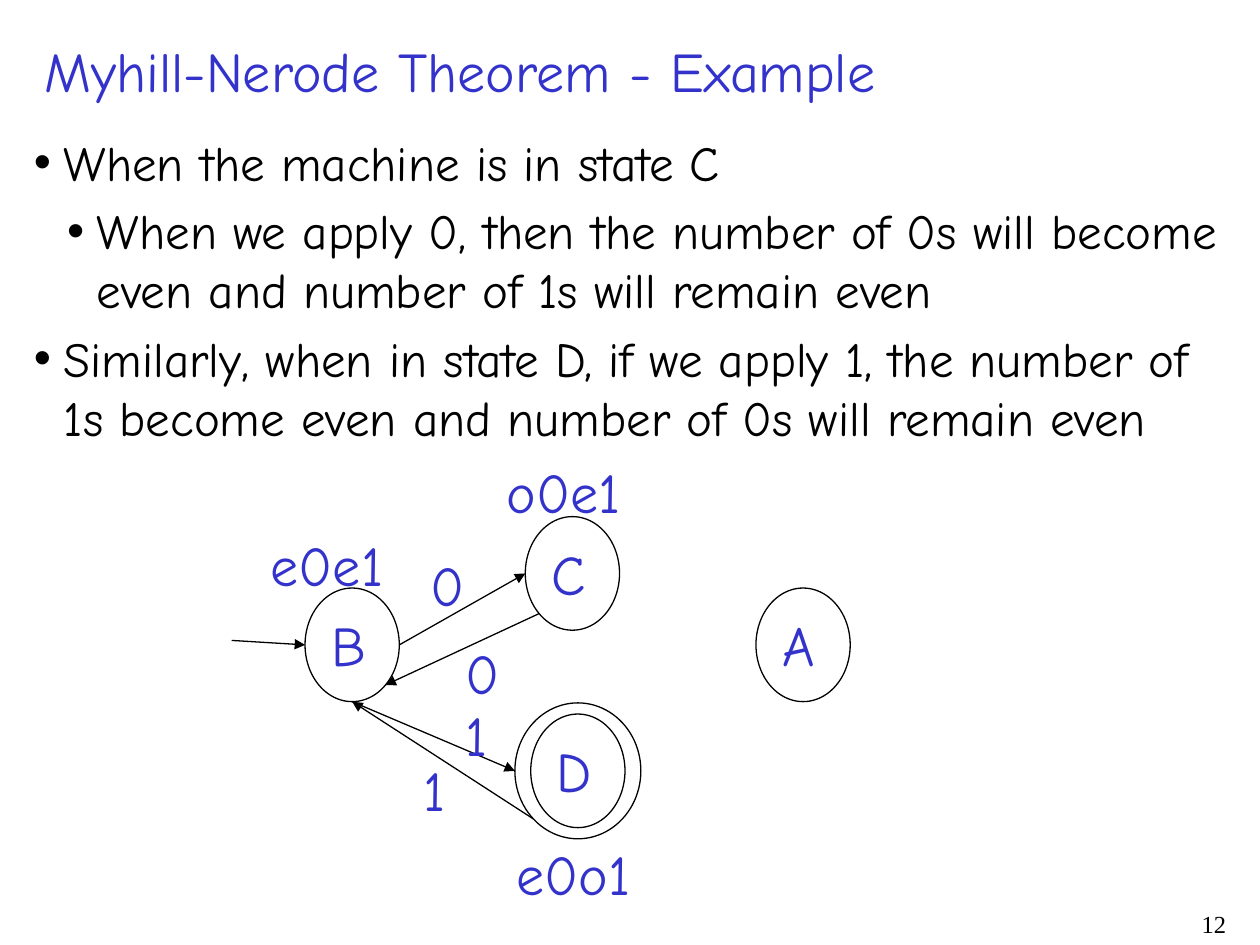
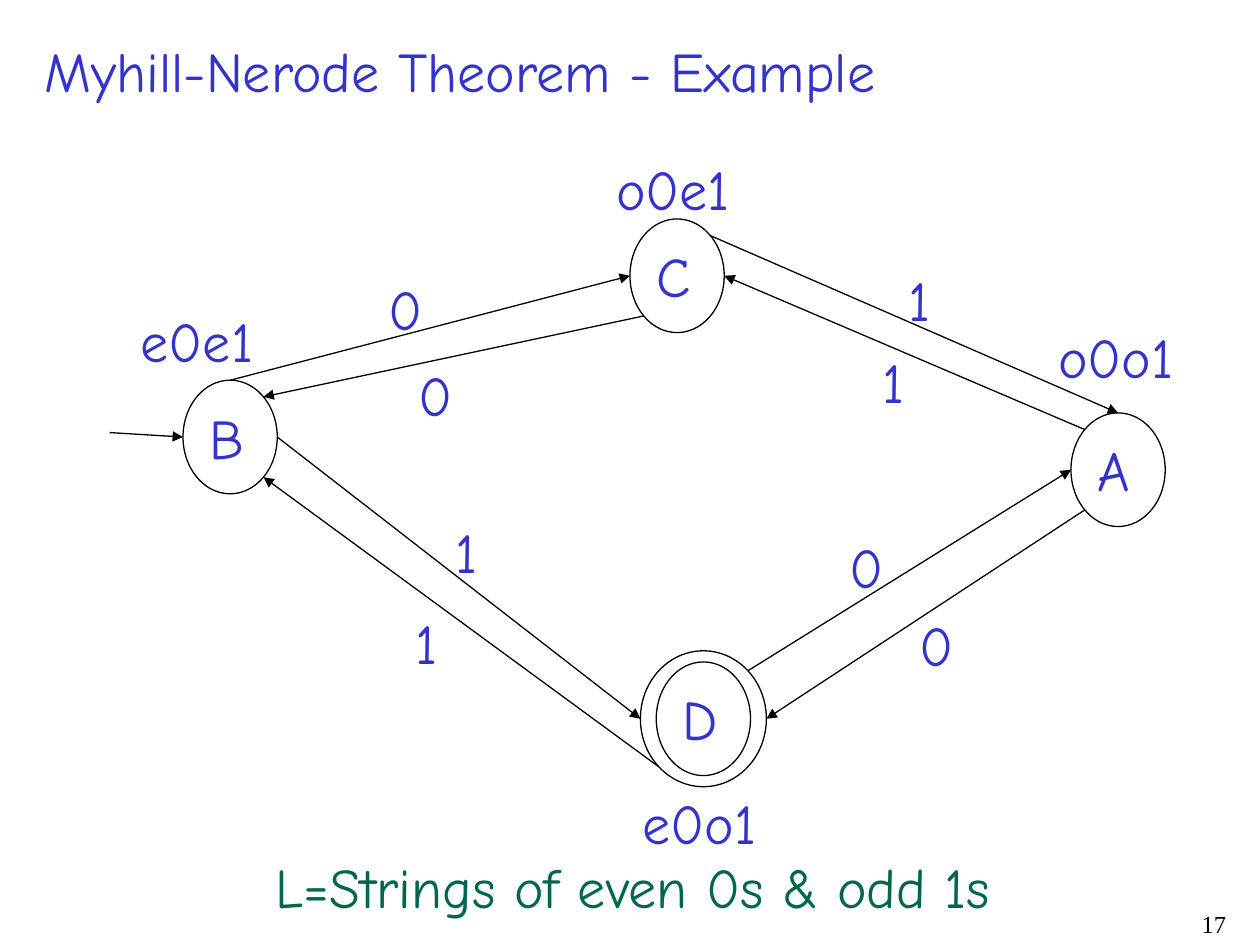
from math import cos, radians, sin

from lxml import etree
from pptx import Presentation
from pptx.dml.color import RGBColor
from pptx.enum.shapes import MSO_CONNECTOR, MSO_SHAPE
from pptx.enum.text import MSO_ANCHOR, MSO_AUTO_SIZE, PP_ALIGN
from pptx.oxml.ns import qn
from pptx.util import Cm, Pt

ELLIPSE, STRAIGHT = MSO_SHAPE.OVAL, MSO_CONNECTOR.STRAIGHT
LEFT, RIGHT, TOP = PP_ALIGN.LEFT, PP_ALIGN.RIGHT, MSO_ANCHOR.TOP
FIXED, GROW = MSO_AUTO_SIZE.NONE, MSO_AUTO_SIZE.SHAPE_TO_FIT_TEXT

BLUE = RGBColor(0x33, 0x33, 0xCC)
BLACK = RGBColor(0, 0, 0)
GREEN = RGBColor(0, 0x66, 0x4D)

LABEL_FONT = {"name": "Comic Neue", "size": Pt(32), "bold": False, "color": BLUE}
BODY_FONT = {**LABEL_FONT, "size": Pt(28), "color": BLACK}
CAPTION_FONT = {**LABEL_FONT, "color": GREEN}
NUMBER_FONT = {**LABEL_FONT, "name": "Times New Roman", "size": Pt(14), "color": BLACK}

TITLE = "Myhill-Nerode Theorem - Example"
TITLE_AREA = (0.64, 0.61, 22.23, 1.63)
BODY_AREA = (0.43, 2.54, 24.56, 16.51)
NUMBER_AREA = (19.69, 18.21, 5.28, 0.84)
CAPTION_AREA = (5.31, 17.07, 16.66, 1.63)
LABEL_HEIGHT = 1.63
LABEL_WIDTHS = {"0": 1.22, "1": 1.02}
CLASS_WIDTH = 2.95
BULLET_MARGINS = (0.6, 1.27)
HANGING = 0.6
STATE_SIZE = (1.9, 2.29)
RING_SIZE = (2.54, 2.74)
ENTRY_RUN = (1.48, 0.09)
START, FINAL = "B", "D"
PORT_ANGLES = {"right": 0, "lower right": 45, "bottom": 90, "lower left": 135,
               "left": 180, "upper left": 225, "top": 270, "upper right": 315}

SLIDES = [
    {
        "number": "12",
        "points": [
            (0, "When the machine is in state C"),
            (1, "When we apply 0, then the number of 0s will become even "
                "and number of 1s will remain even"),
            (0, "Similarly, when in state D, if we apply 1, the number of 1s "
                "become even and number of 0s will remain even"),
        ],
        "states": {"B": (7.1, 13), "A": (16.19, 13), "C": (11.54, 11.56),
                   "D": (11.65, 15.54)},
        "classes": [("e0e1", 5.21, 10.57), ("o0e1", 9.96, 9.09),
                    ("e0o1", 10.16, 16.79)],
        "transitions": [
            ("B", "right", "C", "left", "0", 8.43, 10.97),
            ("B", "bottom", "D", "left", "1", 9.14, 14),
            ("C", "lower left", "B", "lower right", "0", 9.14, 12.75),
            ("D", "lower left", "B", "bottom", "1", 8.28, 15.11),
        ],
    },
    {
        "number": "17",
        "states": {"B": (4.64, 8.81), "A": (22.54, 9.47), "C": (13.65, 5.56),
                   "D": (14.18, 14.49)},
        "classes": [("e0e1", 2.59, 6.05), ("o0e1", 12.17, 3),
                    ("e0o1", 12.7, 15.77), ("o0o1", 21.08, 6.38)],
        "transitions": [
            ("B", "top", "C", "left", "0", 7.59, 5.41),
            ("B", "right", "D", "left", "1", 8.94, 10.31),
            ("C", "lower left", "B", "upper right", "0", 8.18, 7.14),
            ("D", "lower left", "B", "lower right", "1", 8.13, 12.14),
            ("C", "upper right", "A", "top", "1", 18.06, 5.23),
            ("D", "upper right", "A", "left", "0", 16.87, 10.62),
            ("A", "lower left", "D", "right", "0", 18.29, 12.19),
            ("A", "upper left", "C", "right", "1", 17.55, 6.88),
        ],
        "caption": "L=Strings of even 0s & odd 1s",
    },
]


def set_all(target, values):
    for name, value in values.items():
        setattr(target, name, value)


def write(paragraph, words, style, align=LEFT):
    paragraph.alignment = align
    run = paragraph.add_run()
    run.text = words
    set_all(run.font, {k: v for k, v in style.items() if k != "color"})
    run.font.color.rgb = style["color"]


def place(holder, area):
    set_all(holder, dict(zip(("left", "top", "width", "height"), map(Cm, area))))


def add_text(slide, words, area, style, align=LEFT, wrap=False, fit=GROW):
    frame = slide.shapes.add_textbox(*map(Cm, area)).text_frame
    set_all(frame, {"word_wrap": wrap, "auto_size": fit})
    write(frame.paragraphs[0], words, style, align)


def add_title(slide):
    title = slide.shapes.title
    place(title, TITLE_AREA)
    set_all(title.text_frame, {"auto_size": FIXED, "vertical_anchor": TOP})
    write(title.text_frame.paragraphs[0], TITLE, LABEL_FONT)


def add_points(slide, points):
    body = slide.placeholders[1]
    place(body, BODY_AREA)
    frame = body.text_frame
    set_all(frame, {"auto_size": FIXED, "vertical_anchor": TOP})
    for index, (level, words) in enumerate(points):
        paragraph = frame.add_paragraph() if index else frame.paragraphs[0]
        set_all(paragraph, {"level": level, "space_before": Pt(5.6 if index else 0)})
        properties = paragraph._p.get_or_add_pPr()
        properties.set("marL", str(Cm(BULLET_MARGINS[level])))
        properties.set("indent", str(-Cm(HANGING)))
        etree.SubElement(properties, qn("a:buChar"), char="•")
        write(paragraph, words, BODY_FONT)


def add_ellipse(slide, center, size):
    corner = [c - s / 2 for c, s in zip(center, size)]
    ellipse = slide.shapes.add_shape(ELLIPSE, *map(Cm, (*corner, *size)))
    ellipse.shadow.inherit = False
    ellipse.fill.background()
    set_all(ellipse.line, {"width": Pt(0.75)})
    ellipse.line.color.rgb = BLACK
    return ellipse


def add_state(slide, name, center):
    frame = add_ellipse(slide, center, STATE_SIZE).text_frame
    set_all(frame, {"word_wrap": True, "vertical_anchor": TOP})
    write(frame.paragraphs[0], name, LABEL_FONT)
    if name == FINAL:
        add_ellipse(slide, center, RING_SIZE)


def port(states, name, side):
    x, y = states[name]
    width, height = RING_SIZE if name == FINAL else STATE_SIZE
    angle = radians(PORT_ANGLES[side])
    return x + width / 2 * cos(angle), y + height / 2 * sin(angle)


def add_arrow(slide, begin, end):
    arrow = slide.shapes.add_connector(STRAIGHT, *map(Cm, (*begin, *end)))
    arrow.line.width = Pt(0.75)
    arrow.line.color.rgb = BLACK
    etree.SubElement(arrow.line._get_or_add_ln(), qn("a:tailEnd"), type="triangle")
    etree.SubElement(arrow._element.spPr, qn("a:effectLst"))


def add_label(slide, words, x, y):
    width = LABEL_WIDTHS.get(words, CLASS_WIDTH)
    add_text(slide, words, (x, y, width, LABEL_HEIGHT), LABEL_FONT)


def add_automaton(slide, states, classes, transitions):
    for name, center in states.items():
        add_state(slide, name, center)
    entry = port(states, START, "left")
    add_arrow(slide, [e - r for e, r in zip(entry, ENTRY_RUN)], entry)
    for source, exit_side, target, entry_side, symbol, x, y in transitions:
        add_arrow(slide, port(states, source, exit_side),
                  port(states, target, entry_side))
        add_label(slide, symbol, x, y)
    for equivalence_class in classes:
        add_label(slide, *equivalence_class)


def main():
    deck = Presentation()
    set_all(deck, {"slide_width": Cm(25.4), "slide_height": Cm(19.05)})
    for content in SLIDES:
        layout = deck.slide_layouts[1 if "points" in content else 5]
        slide = deck.slides.add_slide(layout)
        add_title(slide)
        if "points" in content:
            add_points(slide, content["points"])
        add_text(slide, content["number"], NUMBER_AREA, NUMBER_FONT, RIGHT, True, FIXED)
        add_automaton(slide, content["states"], content["classes"],
                      content["transitions"])
        if "caption" in content:
            add_text(slide, content["caption"], CAPTION_AREA, CAPTION_FONT)
    deck.save("out.pptx")


if __name__ == "__main__":
    main()
